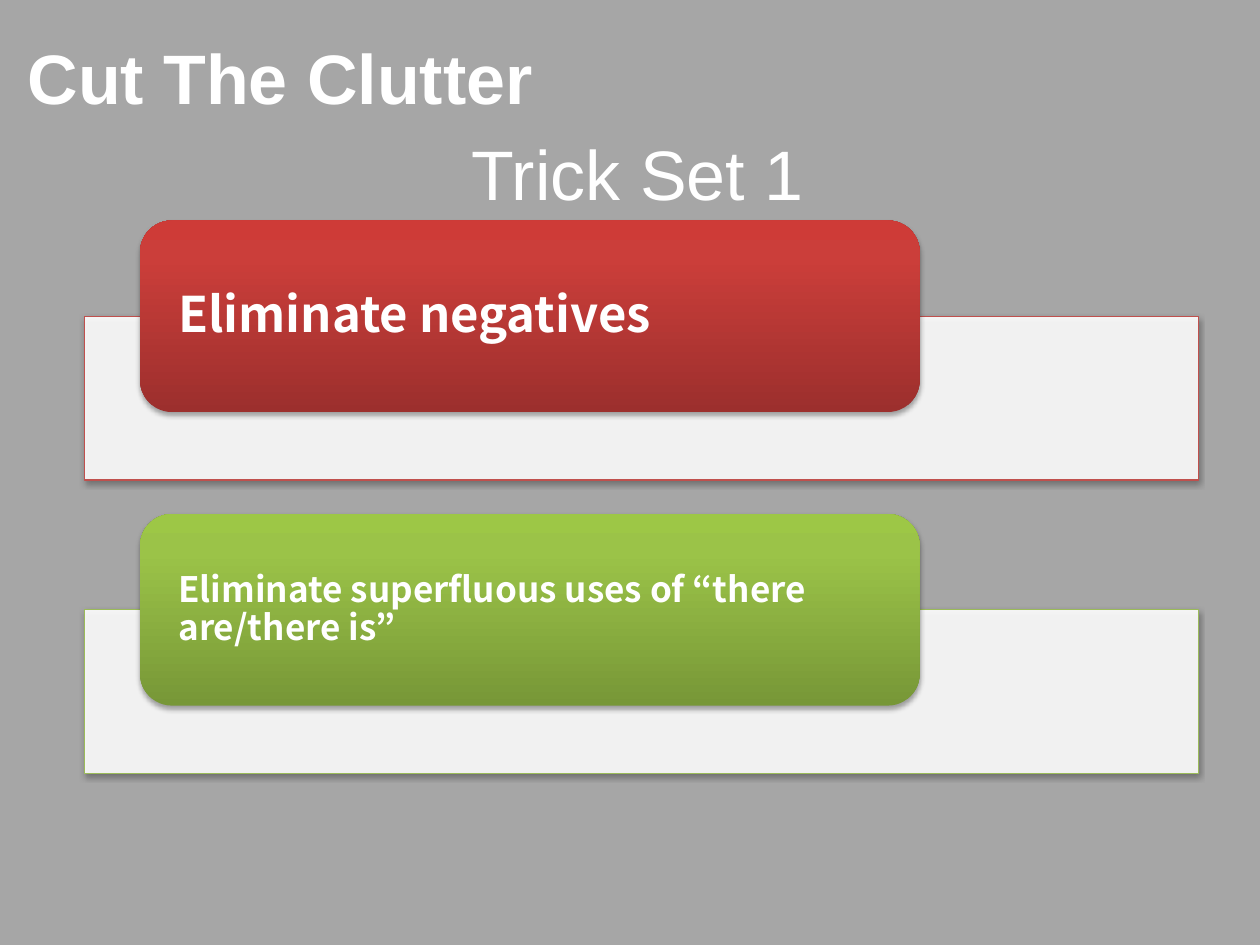
from copy import deepcopy
from dataclasses import dataclass

from lxml import etree
from pptx import Presentation
from pptx.dml.color import RGBColor
from pptx.enum.shapes import MSO_SHAPE
from pptx.enum.text import MSO_ANCHOR, MSO_AUTO_SIZE, PP_ALIGN
from pptx.oxml.ns import qn
from pptx.util import Inches, Pt

RECT, ROUND = MSO_SHAPE.RECTANGLE, MSO_SHAPE.ROUNDED_RECTANGLE
LEFT, CENTER, MIDDLE = PP_ALIGN.LEFT, PP_ALIGN.CENTER, MSO_ANCHOR.MIDDLE
NO_FIT = MSO_AUTO_SIZE.NONE


@dataclass(frozen=True)
class Theme:
    """Colours, fonts and type sizes of the slide."""
    background: str = "A6A6A6"
    white: str = "FFFFFF"
    shadow: str = "000000"
    red: tuple = ("C0504D", "9C2F2D", "CB3E3A", "CE3B37")
    green: tuple = ("9BBB59", "779737", "9BC348", "9DC746")
    stops: tuple = (0, 0.8, 1)
    heading_font: str = "Arial"
    label_font: str = "Noto Sans CJK KR"
    heading_size: int = 40
    large_label: int = 28
    small_label: int = 20


THEME = Theme()


def rgb(value):
    """Turn a hex string into a colour."""
    return RGBColor.from_string(value)


def add_element(parent, tag, **attrs):
    """Append a DrawingML element and return it."""
    return etree.SubElement(parent, qn(tag), {k: str(v) for k, v in attrs.items()})


def set_text(sp, text, size, font, bold=False, align=LEFT, spacing=1.0,
             insets=(0.1, 0.05, 0.1, 0.05)):
    """Write one formatted paragraph into a shape or placeholder."""
    tf = sp.text_frame
    tf.word_wrap, tf.auto_size, tf.vertical_anchor = True, NO_FIT, MIDDLE
    tf.margin_left, tf.margin_top, tf.margin_right, tf.margin_bottom = map(Inches, insets)
    p = tf.paragraphs[0]
    p.alignment, p.line_spacing = align, spacing
    r = p.add_run()
    r.text = text
    r.font.size, r.font.name, r.font.bold = Pt(size), font, bold
    r.font.color.rgb = rgb(THEME.white)
    for tag in ("a:ea", "a:cs"):
        add_element(r.font._element, tag, typeface=font)
    return p


def place(sp, box):
    """Move a shape to a box given in inches."""
    sp.left, sp.top, sp.width, sp.height = map(Inches, box)


def add_shadow(sp):
    """Give a shape a soft shadow straight below it."""
    sp.shadow.inherit = False
    effects = sp._element.spPr.find(qn("a:effectLst"))
    shadow = add_element(effects, "a:outerShdw", blurRad=Pt(3.1), dist=Pt(1.8),
                         dir=5400000, rotWithShape=0)
    color = add_element(shadow, "a:srgbClr", val=THEME.shadow)
    add_element(color, "a:alpha", val=35000)


def fill_gradient(sp, colors):
    """Fill a shape with a gradient that runs from bottom to top."""
    fill = sp.fill
    fill.gradient()
    fill.gradient_angle = 90
    stop_list = sp._element.spPr.find(qn("a:gradFill")).find(qn("a:gsLst"))
    stop_list.append(deepcopy(stop_list[-1]))
    for stop, position, color in zip(fill.gradient_stops, THEME.stops, colors):
        stop.position = position
        stop.color.rgb = rgb(color)


def add_heading(slide, box):
    """Fill the title placeholder."""
    title = slide.shapes.title
    place(title, box)
    set_text(title, "Cut The Clutter", THEME.heading_size, THEME.heading_font, bold=True)


def add_subheading(slide, box):
    """Fill the body placeholder with a centred line without a bullet."""
    body = slide.placeholders[1]
    place(body, box)
    p = set_text(body, "Trick Set 1", THEME.heading_size, THEME.heading_font,
                 align=CENTER, insets=(0.1, 0.05, 0.1, 0.38))
    pPr = p._p.get_or_add_pPr()
    pPr.set("marL", "0")
    pPr.set("indent", "0")
    add_element(pPr, "a:buNone")


def add_trick(slide, box, text, size, colors):
    """Draw a pale panel with a coloured label overlapping its top edge."""
    left, top, width, height = box
    line, *gradient = colors
    panel = slide.shapes.add_shape(RECT, 0, 0, 0, 0)
    place(panel, (left, top + height - 1.3, width, 1.3))
    panel.fill.solid()
    panel.fill.fore_color.rgb = rgb(THEME.white)
    color = panel._element.spPr.find(qn("a:solidFill")).find(qn("a:srgbClr"))
    add_element(color, "a:alpha", val=90000)
    panel.line.color.rgb = rgb(line)
    panel.line.width = Pt(0.75)

    label = slide.shapes.add_shape(ROUND, 0, 0, 0, 0)
    place(label, (left + 0.05 * width, top, 0.7 * width, 1.52))
    fill_gradient(label, gradient)
    label.line.fill.background()
    set_text(label, text, size, THEME.label_font, bold=True, spacing=0.9,
             insets=(0.23, 0, 0.23, 0))
    for sp in (panel, label):
        add_shadow(sp)


def main():
    """Build and save the slide."""
    prs = Presentation()
    prs.slide_width, prs.slide_height = Inches(10), Inches(7.5)
    slide = prs.slides.add_slide(prs.slide_layouts[1])
    slide.background.fill.solid()
    slide.background.fill.fore_color.rgb = rgb(THEME.background)
    add_heading(slide, (0.12, 0.02, 9.88, 1.17))
    add_subheading(slide, (0.64, 1.19, 8.84, 0.69))
    tricks = (
        ("Eliminate negatives", THEME.large_label, THEME.red),
        ("Eliminate superfluous uses of “there are/there is”",
         THEME.small_label, THEME.green),
    )
    for i, (text, size, colors) in enumerate(tricks):
        add_trick(slide, (0.67, 1.75 + 2.33 * i, 8.84, 2.06), text, size, colors)
    prs.save("out.pptx")


if __name__ == "__main__":
    main()
